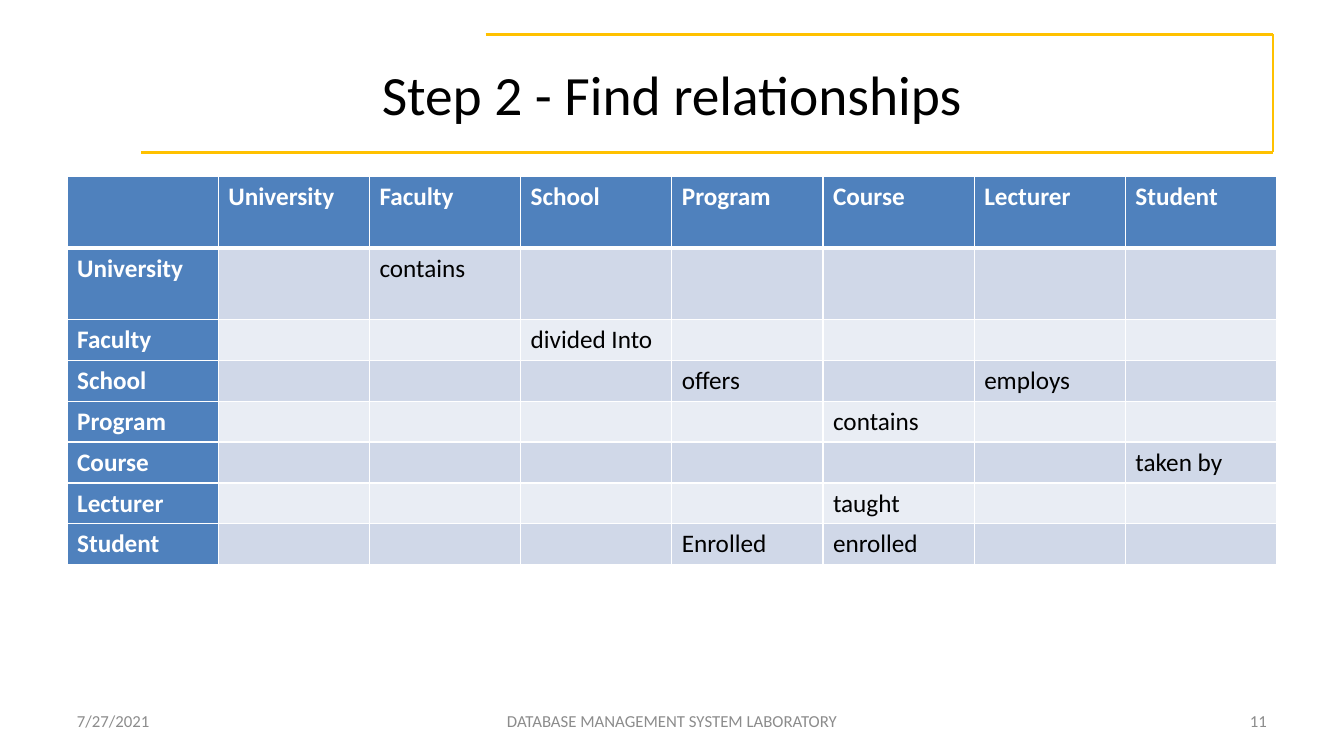
from lxml.etree import SubElement
from pptx import Presentation
from pptx.dml.color import RGBColor
from pptx.enum.shapes import MSO_CONNECTOR as Connector
from pptx.enum.text import MSO_ANCHOR as Anchor, PP_ALIGN as Align
from pptx.oxml.ns import qn
from pptx.util import Cm, Pt

FONT = "Calibri"
COLOURS = {
    "frame": "FFC100",
    "text": "000000",
    "footer": "8C8C8C",
    "header": "4F81BD",
    "white": "FFFFFF",
    "odd_band": "D0D8E8",
    "even_band": "E9EDF4",
}
ENTITIES = ["University", "Faculty", "School", "Program", "Course",
            "Lecturer", "Student"]
RELATIONSHIPS = {
    ("University", "Faculty"): "contains",
    ("Faculty", "School"): "divided Into",
    ("School", "Program"): "offers",
    ("School", "Lecturer"): "employs",
    ("Program", "Course"): "contains",
    ("Course", "Student"): "taken by",
    ("Lecturer", "Course"): "taught",
    ("Student", "Program"): "Enrolled",
    ("Student", "Course"): "enrolled",
}
MARGIN, CONTENT_WIDTH = 1.69, 30.48
TALL_ROW, ROW = 1.8, 1.03


def colour(name):
    return RGBColor.from_string(COLOURS[name])


def format_runs(paragraph, size, colour_name, bold=False):
    for run in paragraph.runs:
        run.font.name = FONT
        run.font.size = Pt(size)
        run.font.bold = bold
        run.font.color.rgb = colour(colour_name)


def add_text(slide, text, left, top, width, height, size, colour_name, align):
    shape = slide.shapes.add_textbox(Cm(left), Cm(top), Cm(width), Cm(height))
    text_frame = shape.text_frame
    text_frame.word_wrap = True
    text_frame.vertical_anchor = Anchor.MIDDLE
    text_frame.text = text
    paragraph = text_frame.paragraphs[0]
    paragraph.alignment = align
    format_runs(paragraph, size, colour_name)


def add_frame(slide, points):
    """Draw an open frame as a chain of lines through the points."""
    for start, end in zip(points, points[1:]):
        line = slide.shapes.add_connector(
            Connector.STRAIGHT, *(Cm(value) for value in start + end))
        line.line.color.rgb = colour("frame")
        line.line.width = Pt(2)
        SubElement(line._element.spPr, qn("a:effectLst"))


def set_borders(cell, bottom_width):
    properties = cell._tc.get_or_add_tcPr()
    for side, width in (("L", 1), ("R", 1), ("T", 1), ("B", bottom_width)):
        border = SubElement(properties, qn(f"a:ln{side}"), w=str(Pt(width)))
        fill = SubElement(border, qn("a:solidFill"))
        SubElement(fill, qn("a:srgbClr"), val=COLOURS["white"])


def fill_cell(cell, text, fill_name, is_header, bottom_width):
    set_borders(cell, bottom_width)
    cell.fill.solid()
    cell.fill.fore_color.rgb = colour(fill_name)
    cell.text_frame.text = text
    format_runs(cell.text_frame.paragraphs[0], 18,
                "white" if is_header else "text", is_header)


def add_relationship_table(slide):
    names = [""] + ENTITIES
    count = len(names)
    heights = [TALL_ROW] * 2 + [ROW] * (count - 2)
    table = slide.shapes.add_table(
        count, count, Cm(MARGIN), Cm(4.45),
        Cm(CONTENT_WIDTH), Cm(sum(heights))).table
    table.first_col = True
    for column in table.columns:
        column.width = Cm(CONTENT_WIDTH / count)
    for row_index, source in enumerate(names):
        table.rows[row_index].height = Cm(heights[row_index])
        band = "odd_band" if row_index % 2 else "even_band"
        for column_index, target in enumerate(names):
            is_header = row_index == 0 or column_index == 0
            text = (source or target if is_header
                    else RELATIONSHIPS.get((source, target), ""))
            fill_cell(table.cell(row_index, column_index), text,
                      "header" if is_header else band, is_header,
                      3 if row_index == 0 else 1)


def add_footer(slide):
    for text, left, width, align in (
            ("7/27/2021", MARGIN, 7.9, Align.LEFT),
            ("DATABASE MANAGEMENT SYSTEM LABORATORY", 11.58, 10.72,
             Align.CENTER),
            ("11", 24.28, 7.9, Align.RIGHT)):
        add_text(slide, text, left, 17.65, width, 1.02, 12, "footer", align)


def main():
    presentation = Presentation()
    presentation.slide_width = Cm(33.87)
    presentation.slide_height = Cm(19.05)
    slide = presentation.slides.add_slide(presentation.slide_layouts[6])

    # Title inside its open frame
    add_frame(slide, [(12.24, 0.86), (32.08, 0.86), (32.08, 3.84),
                      (3.56, 3.84)])
    add_text(slide, "Step 2 - Find relationships", MARGIN, 0.76,
             CONTENT_WIDTH, 3.18, 39.6, "text", Align.CENTER)

    # Entity matrix and footer
    add_relationship_table(slide)
    add_footer(slide)

    presentation.save("out.pptx")


if __name__ == "__main__":
    main()
